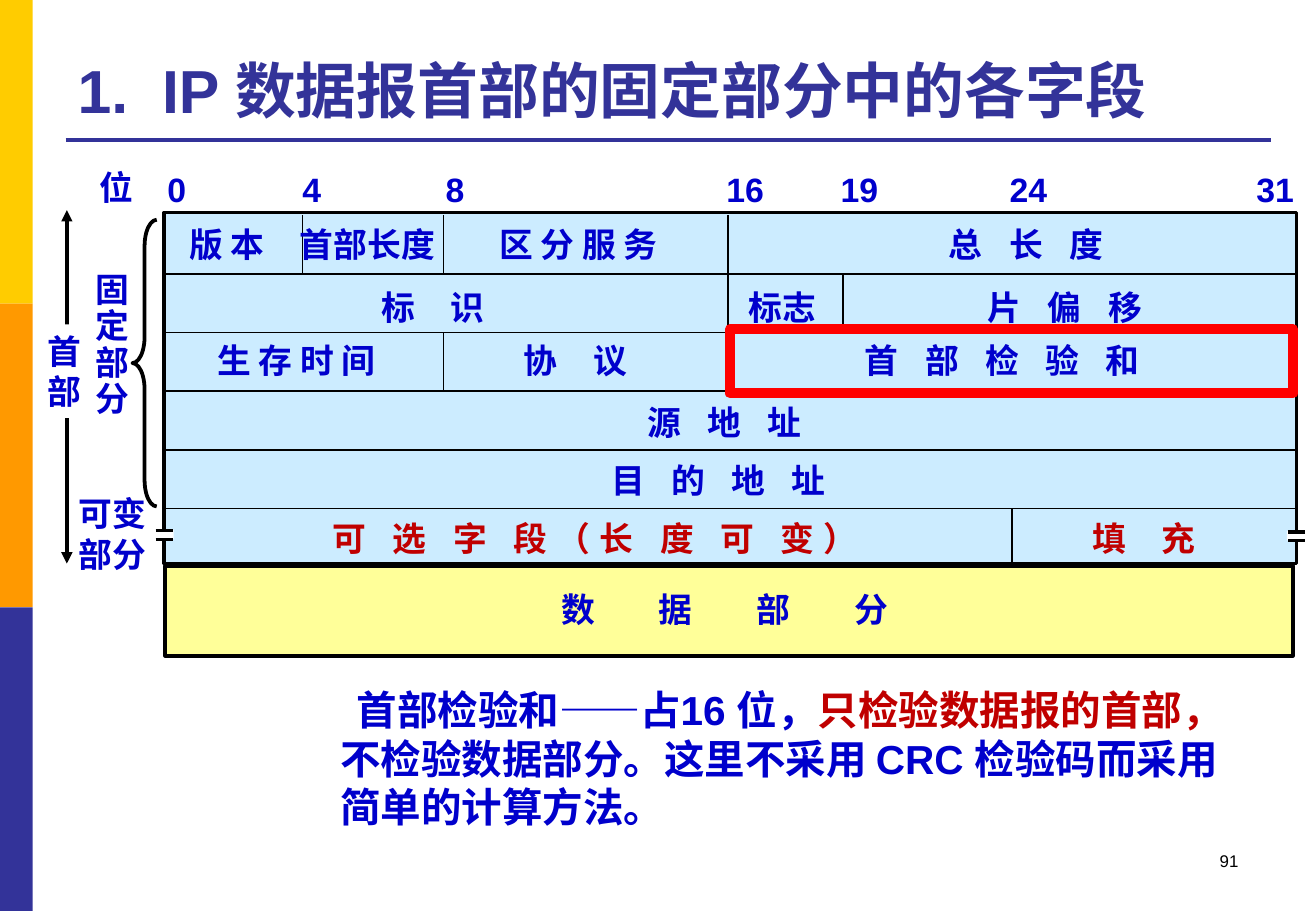
from pptx import Presentation
from pptx.dml.color import RGBColor
from pptx.enum.shapes import MSO_CONNECTOR, MSO_SHAPE
from pptx.enum.text import MSO_ANCHOR, PP_ALIGN
from pptx.oxml.ns import qn
from pptx.util import Inches, Pt
from lxml.etree import SubElement

BLUE, RED, NAVY, BLACK, WHITE = "0000CC", "C00000", "333399", "000000", "FFFFFF"
SPACE = 5.56  # width of one bold 20 pt space, in points

prs = Presentation()
prs.slide_width, prs.slide_height = Inches(10.83), Inches(7.5)
slide = prs.slides.add_slide(prs.slide_layouts[6])
shapes = slide.shapes


def paint(target, colour):
    """Give a fill, line or font a solid colour."""
    if hasattr(target, "solid"):
        target.solid()
        target.fore_color.rgb = RGBColor.from_string(colour)
    else:
        target.color.rgb = RGBColor.from_string(colour)


def write(shape, paragraphs, size=20, colour=BLUE, bold=True, wrap=False,
          align=PP_ALIGN.LEFT, spacing=1.0):
    """Fill a shape with paragraphs of (text, colour, letter spacing) runs."""
    frame = shape.text_frame
    frame.word_wrap = wrap
    for number, runs in enumerate(paragraphs):
        paragraph = frame.add_paragraph() if number else frame.paragraphs[0]
        paragraph.alignment, paragraph.line_spacing = align, spacing
        font = paragraph.font
        font.name, font.size, font.bold = "Arial", Pt(size), bold
        paint(font, colour)
        for text, run_colour, letter_gap in runs:
            run = paragraph.add_run()
            run.text = text
            if run_colour != colour:
                paint(run.font, run_colour)
            if letter_gap:
                run._r.get_or_add_rPr().set("spc", str(round(letter_gap * 100)))
    return frame


# Field grid: six equal rows, columns at bit positions
left, right, top, bottom = 1.35, 10.67, 1.77, 4.66
row_height = 2.9 / 6
row_tops = [top + row_height * row for row in range(7)]
bit_x = {4: 2.49, 8: 3.65, 16: 5.99, 19: 6.94, 24: 8.33}

# Side bar, header block and data block: left, top, width, height, fill, line
bar_height = 7.5 / 3
panels = [(0, bar_height * band, 0.27, bar_height, fill, 0)
          for band, fill in enumerate(("FFCC00", "FF9900", NAVY))]
panels += [(left, 1.75, right - left, 2.89, "CCECFF", 2),
           (1.36, 4.66, 9.28, 0.74, "FFFF99", 2.25)]
# White gaps of the break marks
breaks = [(1.27, 4.36), (10.59, 4.37)]
gaps = [(x, y, 0.16, 0.08, WHITE, 0) for x, y in breaks]

# Lines: x1, y1, x2, y2, colour, width
rules = [(0.54, 1.15, 10.46, 1.15, NAVY, 2.25)]
rules += [(1.34, y, 10.68, y, BLACK, 1) for y in row_tops[1:6]]
for bit, first_row, last_row in [(4, 0, 1), (8, 0, 1), (8, 2, 3),
                                 (16, 0, 3), (19, 1, 2), (24, 5, 6)]:
    rules.append((bit_x[bit], row_tops[first_row], bit_x[bit], row_tops[last_row], BLACK, 1))
marks = [(x + 0.01, y + dy, x + 0.15, y + dy, BLACK, 2)
         for x, y in breaks for dy in (0.01, 0.08)]
header_extent = (0.55, 1.73, 0.55, 4.64, BLACK, 2.25)

for boxes, lines in [(panels, rules), (gaps, marks + [header_extent])]:
    for x, y, width, height, fill, line_width in boxes:
        panel = shapes.add_shape(MSO_SHAPE.RECTANGLE, Inches(x), Inches(y),
                                 Inches(width), Inches(height))
        panel.shadow.inherit = False
        paint(panel.fill, fill)
        if line_width:
            paint(panel.line, BLACK)
            panel.line.width = Pt(line_width)
        else:
            panel.line.fill.background()
    for x1, y1, x2, y2, colour, line_width in lines:
        rule = shapes.add_connector(MSO_CONNECTOR.STRAIGHT, Inches(x1), Inches(y1),
                                    Inches(x2), Inches(y2))
        paint(rule.line, colour)
        rule.line.width = Pt(line_width)
        properties = rule._element.spPr
        SubElement(properties, qn("a:effectLst"))

# Arrowheads on the header extent, the last line drawn
for end in ("a:headEnd", "a:tailEnd"):
    SubElement(properties.find(qn("a:ln")), qn(end), type="triangle")

# Header caption over the arrow
caption = shapes.add_shape(MSO_SHAPE.RECTANGLE, Inches(0.29), Inches(2.67),
                           Inches(0.48), Inches(0.77))
caption.shadow.inherit = False
paint(caption.fill, WHITE)
caption.line.fill.background()
write(caption, [[(character, BLUE, 0)] for character in "首部"])

# Brace of the fixed part
brace = shapes.add_shape(MSO_SHAPE.LEFT_BRACE, Inches(1.09), Inches(1.81),
                         Inches(0.2), Inches(2.36))
brace.shadow.inherit = False
brace.adjustments[0] = 1.08
brace.fill.background()
paint(brace.line, BLACK)
brace.line.width = Pt(2.25)

# Labels: text, left, top, width, spaces between letters, colour
labels = [("位", 0.72, 1.32, 0.48, 1, BLUE), ("数 据 部 分", 4.52, 4.8, 3.45, 7, BLUE)]
labels += [(bit, x, 1.34, 0.36 if len(bit) == 1 else 0.51, 1, BLUE)
           for bit, x in [("0", 1.28), ("4", 2.39), ("8", 3.57), ("16", 5.88),
                          ("19", 6.82), ("24", 8.21), ("31", 10.24)]]
field_rows = [
    (1.79, [("版 本", 1.46, 0.84, 1), ("首部长度", 2.37, 1.32, 1),
            ("区 分 服 务", 4.01, 1.56, 1), ("总 长 度", 7.71, 1.51, 3)]),
    (2.31, [("标 识", 3.04, 1.07, 4), ("标志", 6.06, 0.76, 1), ("片 偏 移", 8.03, 1.51, 3)]),
    (2.75, [("生 存 时 间", 1.69, 1.56, 1), ("协 议", 4.21, 1.07, 4),
            ("首 部 检 验 和", 7.02, 2.54, 3)]),
    (3.26, [("源 地 址", 5.23, 1.51, 3)]),
    (3.74, [("目 的 地 址", 4.93, 2.02, 3)]),
    (4.21, [("可 选 字 段（长 度 可 变）", 2.64, 4.56, 3), ("填 充", 8.89, 1.07, 4)]),
]
for y, fields in field_rows:
    colour = RED if y == field_rows[-1][0] else BLUE
    labels += [(text, x, y, width, spaces, colour) for text, x, width, spaces in fields]
for text, x, y, width, spaces, colour in labels:
    label = shapes.add_textbox(Inches(x), Inches(y), Inches(width), Inches(0.43))
    write(label, [[(text, colour, SPACE * (spaces - 1) / 2)]], colour=colour)

# Fixed and variable part captions
for lines, x, y, width, height, spacing in [
        ("固定部分", 0.69, 2.2, 0.48, 1.31, 0.9),
        (("可变", "部分"), 0.55, 4.01, 0.76, 0.77, 1.0)]:
    part = shapes.add_textbox(Inches(x), Inches(y), Inches(width), Inches(height))
    write(part, [[(line, BLUE, 0)] for line in lines], spacing=spacing)

# Checksum explanation and highlight
explanation = shapes.add_textbox(Inches(2.7), Inches(5.59), Inches(7.6), Inches(1.31))
frame = write(explanation, [
    [("首部检验和——占16 位，", BLUE, 0), ("只检验数据报的首部，", RED, 0)],
    [("不检验数据部分。这里不采用 CRC 检验码而采用简单的计算方法。", BLUE, 0)],
], size=24, wrap=True)
frame.paragraphs[0].alignment = PP_ALIGN.CENTER

highlight = shapes.add_shape(MSO_SHAPE.RECTANGLE, Inches(6.01), Inches(2.71),
                             Inches(4.63), Inches(0.53))
highlight.shadow.inherit = False
highlight.fill.background()
paint(highlight.line, "FF0000")
highlight.line.width = Pt(6)

# Title and page number
title = shapes.add_textbox(Inches(0.54), Inches(0.21), Inches(9.91), Inches(0.87))
frame = write(title, [[("1.", NAVY, 0), (" ", NAVY, 10),
                       ("IP 数据报首部的固定部分中的各字段", NAVY, 0)]],
              size=36, colour=NAVY, wrap=True)
frame.vertical_anchor = MSO_ANCHOR.BOTTOM

page = shapes.add_textbox(Inches(7.76), Inches(6.95), Inches(2.53), Inches(0.5))
write(page, [[("91", BLACK, 0)]], size=10, colour=BLACK, bold=False, wrap=True,
      align=PP_ALIGN.RIGHT)

prs.save("out.pptx")
